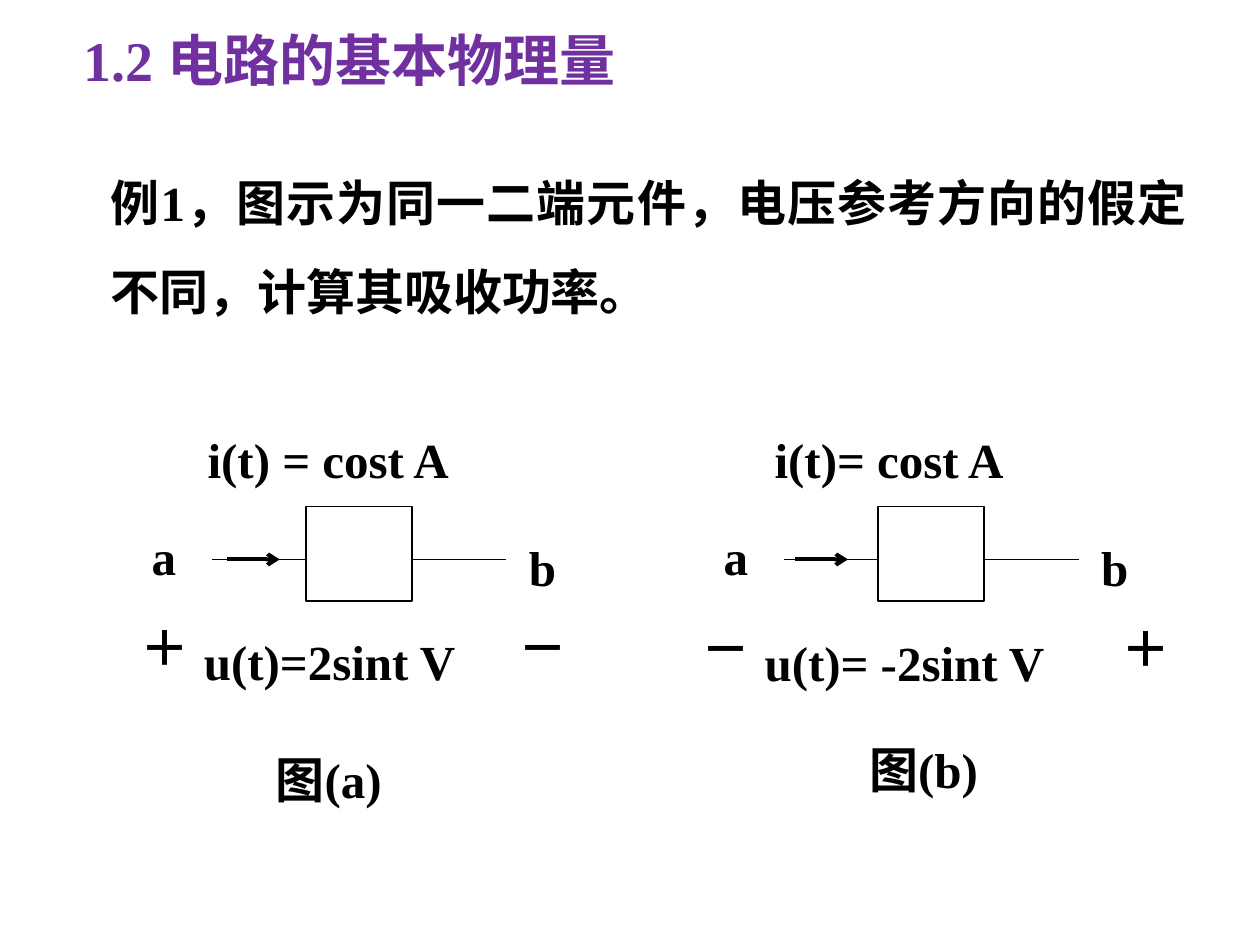
from lxml import etree
from pptx import Presentation
from pptx.dml.color import RGBColor
from pptx.enum.shapes import MSO_CONNECTOR, MSO_SHAPE
from pptx.enum.text import MSO_ANCHOR, PP_ALIGN
from pptx.oxml.ns import qn
from pptx.util import Inches, Pt

LEFT, CENTER, JUSTIFY = PP_ALIGN.LEFT, PP_ALIGN.CENTER, PP_ALIGN.JUSTIFY
MIDDLE, TOP = MSO_ANCHOR.MIDDLE, MSO_ANCHOR.TOP
STRAIGHT, RECTANGLE = MSO_CONNECTOR.STRAIGHT, MSO_SHAPE.RECTANGLE
COLORS = {"title": "7030A0", "ink": "000000"}
FONT = "Times New Roman"


def write(box, text, size=28, color="ink", align=LEFT, anchor=TOP,
          wrap=True, spacing=1.0, margins=(0.1, 0.05)):
    frame = box.text_frame
    frame.word_wrap = wrap
    frame.vertical_anchor = anchor
    frame.margin_left = frame.margin_right = Inches(margins[0])
    frame.margin_top = frame.margin_bottom = Inches(margins[1])
    paragraph = frame.paragraphs[0]
    paragraph.alignment = align
    paragraph.line_spacing = spacing
    run = paragraph.add_run()
    run.text = text
    run.font.name = FONT
    run.font.size = Pt(size)
    run.font.bold = True
    run.font.color.rgb = RGBColor.from_string(COLORS[color])


def add_wire(shapes, start, end, y, width=1, arrow=False):
    wire = shapes.add_connector(STRAIGHT, Inches(start), Inches(y), Inches(end), Inches(y))
    wire.line.width = Pt(width)
    wire.line.color.rgb = RGBColor.from_string(COLORS["ink"])
    if arrow:
        etree.SubElement(wire.line._get_or_add_ln(), qn("a:tailEnd"), type="arrow")
    etree.SubElement(wire._element.spPr, qn("a:effectLst"))


prs = Presentation()
prs.slide_width, prs.slide_height = Inches(10), Inches(7.5)
slide = prs.slides.add_slide(prs.slide_layouts[5])

title = slide.shapes.title
title.left, title.top = Inches(0.56), Inches(-0.16)
title.width, title.height = Inches(7.49), Inches(1.25)
write(title, "1.2 电路的基本物理量", size=32, color="title", anchor=MIDDLE)

problem = slide.shapes.add_textbox(Inches(0.78), Inches(1.09), Inches(8.74), Inches(1.51))
write(problem, "例1，图示为同一二端元件，电压参考方向的假定不同，计算其吸收功率。",
      align=JUSTIFY, spacing=1.5)

WIRE_Y = 4.44
circuits = [
    {"x": 1.68, "arrow": 1.8,
     "current": ("i(t) = cost A", 1.55, 3.36), "voltage": ("u(t)=2sint V", 1.52, 4.96),
     "signs": [("＋", 1.02, 4.85), ("－", 4.02, 4.85)], "caption": ("图(a)", 1.61, 5.95)},
    {"x": 6.22, "arrow": 6.31,
     "current": ("i(t)= cost A", 6.05, 3.36), "voltage": ("u(t)= -2sint V", 5.97, 4.97),
     "signs": [("－", 5.47, 4.86), ("＋", 8.8, 4.86)], "caption": ("图(b)", 6.33, 5.87)},
]

for circuit in circuits:
    x = circuit["x"]
    parts = slide.shapes.add_group_shape().shapes
    add_wire(parts, x, x + 0.75, WIRE_Y)
    add_wire(parts, x + 1.59, x + 2.34, WIRE_Y)

    element = parts.add_shape(RECTANGLE, Inches(x + 0.75), Inches(4.02), Inches(0.84), Inches(0.75))
    element.shadow.inherit = False
    element.fill.background()
    element.line.width = Pt(1)
    element.line.color.rgb = RGBColor.from_string(COLORS["ink"])

    for terminal, offset, top in (("a", -0.58, 4.13), ("b", 2.42, 4.22)):
        label = parts.add_textbox(Inches(x + offset), Inches(top), Inches(0.4), Inches(0.57))
        write(label, terminal, align=CENTER, wrap=False)

    add_wire(parts, circuit["arrow"], circuit["arrow"] + 0.42, WIRE_Y, width=2.25, arrow=True)

    quantities = [(circuit["current"], 2.83), (circuit["voltage"], 2.64)]
    quantities += [(sign, 0.75) for sign in circuit["signs"]]
    for (text, left, top), width in quantities:
        quantity = parts.add_textbox(Inches(left), Inches(top), Inches(width), Inches(0.57))
        write(quantity, text, align=JUSTIFY)

    text, left, top = circuit["caption"]
    caption = parts.add_textbox(Inches(left), Inches(top), Inches(2), Inches(0.47))
    write(caption, text, align=CENTER, margins=(0, 0))

prs.save("out.pptx")
